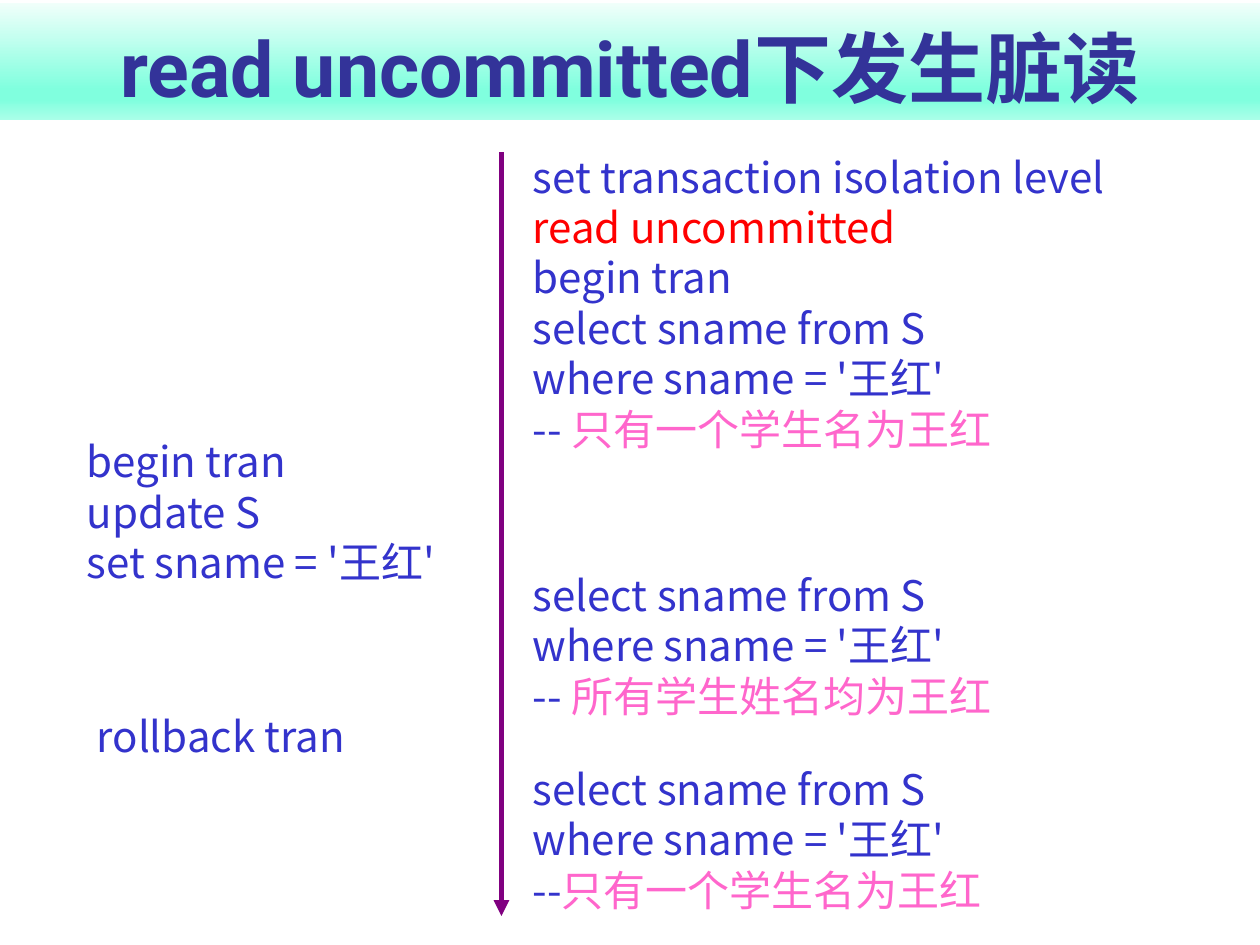
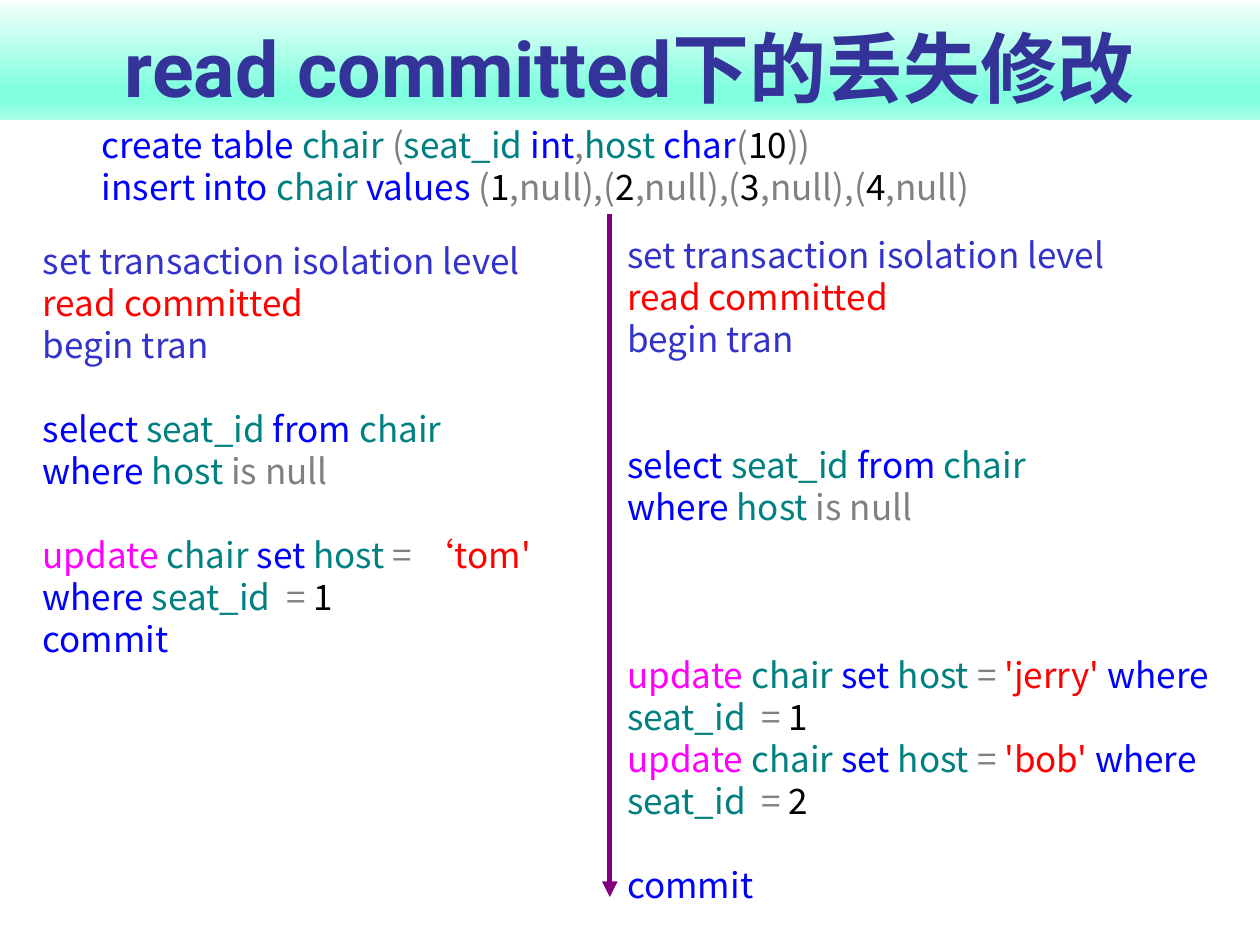
from dataclasses import dataclass

from lxml import etree
from pptx import Presentation
from pptx.dml.color import RGBColor
from pptx.enum.shapes import MSO_CONNECTOR
from pptx.enum.text import MSO_ANCHOR, MSO_AUTO_SIZE, PP_ALIGN
from pptx.oxml.ns import qn
from pptx.slide import Slide
from pptx.util import Inches, Pt

STRAIGHT = MSO_CONNECTOR.STRAIGHT
TOP, BOTTOM = MSO_ANCHOR.TOP, MSO_ANCHOR.BOTTOM
NO_AUTOFIT = MSO_AUTO_SIZE.NONE
CENTER = PP_ALIGN.CENTER
TITLE_ONLY = 5

TITLE_FONT, CODE_FONT = "Roboto", "Noto Sans CJK SC"
TITLE_COLOR, TIMELINE = "333399", "800080"
BAND_STOPS = [(0, "F1FFFB"), (74, "80FFDE"), (83, "80FFDE"), (100, "AAFFE9")]
STATEMENT, LEVEL, REMARK = "3333CC", "FF0000", "FF66CC"
KEYWORD, NAME, SYMBOL = "0000FF", "008080", "808080"
NUMBER, UPDATE, STRING = "000000", "FF00FF", "FF0000"
LINE_FACTOR = 1.2

Runs = list[tuple[str, str]]


@dataclass
class Line:
    """One line of code, with the number of empty lines above it."""
    runs: Runs
    gap: int = 0


@dataclass
class Listing:
    """A block of code and its place in inches."""
    left: float
    top: float
    width: float
    height: float
    lines: list[Line]


@dataclass
class Timeline:
    """A downward time arrow."""
    x: float
    start: float
    end: float


def rgb(color: str) -> RGBColor:
    """Turn a hex string into a colour."""
    return RGBColor.from_string(color)


def add_run(paragraph, text: str, color: str, face: str, size: int, bold: bool = False) -> None:
    """Add one formatted run."""
    run = paragraph.add_run()
    run.text = text
    run.font.size = Pt(size)
    run.font.bold = bold
    run.font.color.rgb = rgb(color)
    run.font.name = face
    east_asian = etree.SubElement(run.font._element, qn("a:ea"))
    east_asian.set("typeface", CODE_FONT)


def add_band_fill(shape) -> None:
    """Fill a shape with the vertical title gradient."""
    gradient = etree.SubElement(shape._element.spPr, qn("a:gradFill"), rotWithShape="1")
    stops = etree.SubElement(gradient, qn("a:gsLst"))
    for percent, color in BAND_STOPS:
        stop = etree.SubElement(stops, qn("a:gs"), pos=str(percent * 1000))
        etree.SubElement(stop, qn("a:srgbClr"), val=color)
    etree.SubElement(gradient, qn("a:lin"), ang="5400000", scaled="0")


def add_title(slide: Slide, text: str) -> None:
    """Write the title in its gradient band."""
    title = slide.shapes.title
    title.left, title.top = Inches(0), Inches(0.02)
    title.width, title.height = Inches(10), Inches(0.93)
    add_band_fill(title)
    frame = title.text_frame
    frame.auto_size = NO_AUTOFIT
    frame.vertical_anchor = BOTTOM
    paragraph = frame.paragraphs[0]
    paragraph.alignment = CENTER
    add_run(paragraph, text, TITLE_COLOR, TITLE_FONT, 44, True)


def add_listing(slide: Slide, listing: Listing, size: int) -> None:
    """Draw a block of coloured code."""
    box = slide.shapes.add_textbox(Inches(listing.left), Inches(listing.top),
                                   Inches(listing.width), Inches(listing.height))
    frame = box.text_frame
    frame.word_wrap = True
    frame.auto_size = NO_AUTOFIT
    frame.vertical_anchor = TOP
    pitch = size * LINE_FACTOR
    for index, line in enumerate(listing.lines):
        paragraph = frame.add_paragraph() if index else frame.paragraphs[0]
        paragraph.line_spacing = Pt(pitch)
        if line.gap:
            paragraph.space_before = Pt(line.gap * pitch)
        for text, color in line.runs:
            add_run(paragraph, text, color, CODE_FONT, size)


def add_timeline(slide: Slide, timeline: Timeline) -> None:
    """Draw the time arrow between the two transactions."""
    arrow = slide.shapes.add_connector(STRAIGHT, Inches(timeline.x), Inches(timeline.start),
                                       Inches(timeline.x), Inches(timeline.end))
    arrow.line.color.rgb = rgb(TIMELINE)
    arrow.line.width = Pt(3)
    etree.SubElement(arrow.line._get_or_add_ln(), qn("a:tailEnd"), type="triangle")
    etree.SubElement(arrow._element.spPr, qn("a:effectLst"))


def statements(*texts: str) -> list[Line]:
    """Make plain statement lines."""
    return [Line([(text, STATEMENT)]) for text in texts]


def isolation(level: str) -> list[Line]:
    """Make the lines that set the isolation level and begin."""
    first, begin = statements("set transaction isolation level", "begin tran")
    return [first, Line([(level, LEVEL)]), begin]


def select_student(dashes: str, remark: str) -> list[Line]:
    """Make the student query with a remark on its result."""
    query = statements("select sname from S", "where sname = '王红'")
    return query + [Line([(dashes, STATEMENT), (remark, REMARK)])]


def select_free_seats(gap: int) -> list[Line]:
    """Make the query for free seats."""
    return [
        Line([("select ", KEYWORD), ("seat_id ", NAME), ("from ", KEYWORD), ("chair", NAME)], gap),
        Line([("where ", KEYWORD), ("host ", NAME), ("is null", SYMBOL)]),
    ]


def set_host(host: str) -> Runs:
    """Make the runs of an update of the host."""
    return [("update ", UPDATE), ("chair ", NAME), ("set ", KEYWORD), ("host ", NAME),
            ("= ", SYMBOL), (host, STRING)]


def where_seat(seat: int) -> Runs:
    """Make the runs of a seat condition."""
    return [("where ", KEYWORD), ("seat_id  ", NAME), ("=", SYMBOL), (f" {seat}", NUMBER)]


def insert_seats(count: int) -> Runs:
    """Make the runs that insert empty seats."""
    runs = [("insert into ", KEYWORD), ("chair ", NAME), ("values ", KEYWORD), ("(", SYMBOL)]
    for seat in range(1, count + 1):
        runs += [(str(seat), NUMBER), (",null),(" if seat < count else ",null)", SYMBOL)]
    return runs


def add_slide(deck, title: str, size: int, timeline: Timeline, listings: list[Listing]) -> None:
    """Build one slide of two concurrent transactions."""
    slide = deck.slides.add_slide(deck.slide_layouts[TITLE_ONLY])
    add_title(slide, title)
    add_timeline(slide, timeline)
    for listing in listings:
        add_listing(slide, listing, size)


def main() -> None:
    """Build and save the presentation."""
    deck = Presentation()
    deck.slide_width, deck.slide_height = Inches(10), Inches(7.5)

    one_student = "只有一个学生名为王红"
    add_slide(deck, "read uncommitted下发生脏读", 24, Timeline(3.98, 1.21, 7.27), [
        Listing(4.13, 1.15, 5.59, 2.52,
                isolation("read uncommitted") + select_student("-- ", one_student)),
        Listing(0.59, 3.41, 3.23, 1.31,
                statements("begin tran", "update S", "set sname = '王红'")),
        Listing(4.13, 4.47, 4.25, 1.31, select_student("-- ", "所有学生姓名均为王红")),
        Listing(0.67, 5.59, 2.43, 0.5, statements("rollback tran")),
        Listing(4.13, 6.01, 4.25, 1.31, select_student("--", one_student)),
    ])

    create_table = [
        ("create table ", KEYWORD), ("chair ", NAME), ("(", SYMBOL), ("seat_id ", NAME),
        ("int", KEYWORD), (",", SYMBOL), ("host ", NAME), ("char", KEYWORD),
        ("(", SYMBOL), ("10", NUMBER), ("))", SYMBOL),
    ]
    commit = [("commit", KEYWORD)]
    add_slide(deck, "read committed下的丢失修改", 20, Timeline(4.84, 1.7, 7.12), [
        Listing(0.71, 0.93, 9.09, 0.77, [Line(create_table), Line(insert_seats(4))]),
        Listing(4.88, 1.8, 5, 5.49, isolation("read committed") + select_free_seats(2) + [
            Line(set_host("'jerry' ") + where_seat(1), 3),
            Line(set_host("'bob' ") + where_seat(2)),
            Line(commit, 1),
        ]),
        Listing(0.24, 1.85, 5, 3.47, isolation("read committed") + select_free_seats(1) + [
            Line(set_host("‘tom'"), 1),
            Line(where_seat(1)),
            Line(commit),
        ]),
    ])
    deck.save("out.pptx")


if __name__ == "__main__":
    main()
